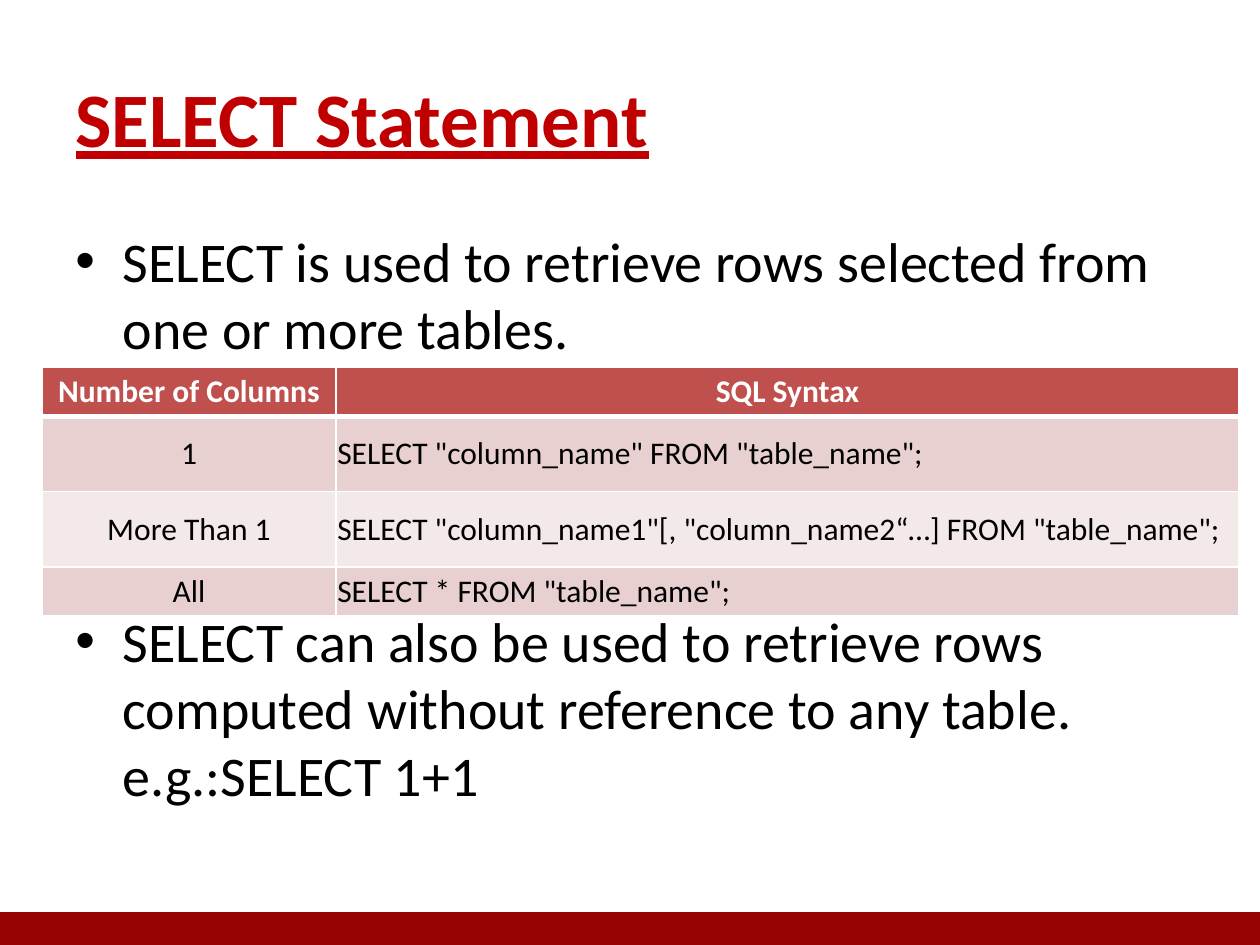
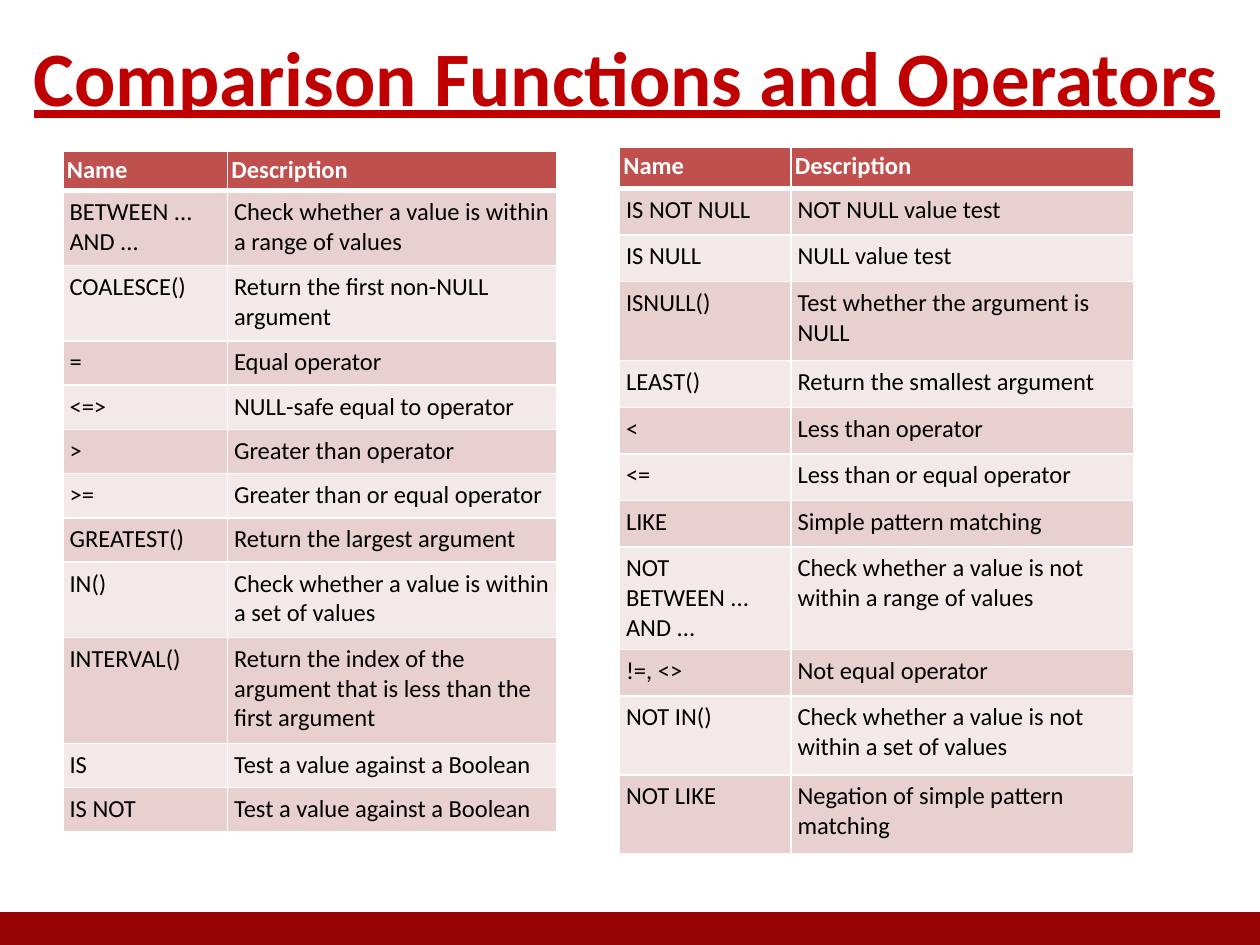
from dataclasses import dataclass

from lxml import etree
from pptx import Presentation
from pptx.dml.color import RGBColor
from pptx.enum import shapes, text
from pptx.oxml import ns
from pptx.util import Pt

FONT = "Calibri"
HUES = {
    "paper": "FFFFFF",
    "ink": "000000",
    "title": "C00000",
    "band": "970303",
    "head": "C0504D",
    "odd": "E8D0D0",
    "even": "F4E9E9",
}
WIDE, HIGH = 720, 540


@dataclass
class Box:
    """A frame on the slide, in points."""
    x: float
    y: float
    w: float
    h: float


@dataclass
class Grid:
    """A table: its place, measures, text style and rows."""
    x: float
    y: float
    cols: list[float]
    tall: list[float]
    rows: list[tuple[str, str]]
    size: float
    pad: float
    head_pad: float
    centred: bool = False


def hue(name: str) -> RGBColor:
    """Look up a colour by its role."""
    return RGBColor.from_string(HUES[name])


def add_run(para, words: str, size: float, tone: str, bold: bool = False):
    """Add one styled run to a paragraph."""
    run = para.add_run()
    run.text = words
    font = run.font
    font.name, font.size, font.bold = FONT, Pt(size), bold
    font.color.rgb = hue(tone)
    return run


def place(shape, box: Box) -> None:
    """Move a shape into its frame."""
    shape.left, shape.top = Pt(box.x), Pt(box.y)
    shape.width, shape.height = Pt(box.w), Pt(box.h)


def add_page(deck, title: str, box: Box):
    """Add a slide with the footer band and a red underlined title."""
    page = deck.slides.add_slide(deck.slide_layouts[5])
    page.background.fill.solid()
    page.background.fill.fore_color.rgb = hue("paper")
    band = page.shapes.add_shape(
        shapes.MSO_SHAPE.RECTANGLE, Pt(0), Pt(HIGH - 18), Pt(WIDE), Pt(18))
    band.shadow.inherit = False
    band.fill.solid()
    band.fill.fore_color.rgb = band.line.color.rgb = hue("band")
    band.line.width = Pt(2)

    head = page.shapes.title
    place(head, box)
    frame = head.text_frame
    frame.auto_size = text.MSO_AUTO_SIZE.NONE
    frame.vertical_anchor = text.MSO_ANCHOR.MIDDLE
    para = frame.paragraphs[0]
    para.alignment = text.PP_ALIGN.LEFT
    add_run(para, title, 44, "title", True).font.underline = True
    return page


def add_list(page, box: Box, items: list[tuple[str, float]]) -> None:
    """Add a bulleted list of (words, space before) items."""
    shape = page.shapes.add_textbox(
        Pt(box.x), Pt(box.y), Pt(box.w), Pt(box.h))
    frame = shape.text_frame
    frame.word_wrap = True
    for i, (words, gap) in enumerate(items):
        para = frame.add_paragraph() if i else frame.paragraphs[0]
        para.space_before = Pt(gap)
        add_run(para, words, 32, "ink")
        props = para._p.get_or_add_pPr()
        props.set("marL", str(Pt(27)))
        props.set("indent", str(Pt(-27)))
        font = etree.SubElement(props, ns.qn("a:buFont"))
        font.set("typeface", "Arial")
        etree.SubElement(props, ns.qn("a:buChar")).set("char", "•")


def edge(cell, row: int) -> None:
    """Draw white cell borders, with a thick rule under the header."""
    thick = {(0, "B"), (1, "T")}
    props = cell._tc.get_or_add_tcPr()
    for side in "LRTB":
        line = etree.SubElement(props, ns.qn(f"a:ln{side}"))
        line.set("w", str(Pt(3 if (row, side) in thick else 1)))
        fill = etree.SubElement(line, ns.qn("a:solidFill"))
        etree.SubElement(fill, ns.qn("a:srgbClr")).set("val", HUES["paper"])


def add_grid(page, grid: Grid) -> None:
    """Draw a banded table with a header row."""
    table = page.shapes.add_table(
        len(grid.rows), len(grid.cols), Pt(grid.x), Pt(grid.y),
        Pt(sum(grid.cols)), Pt(sum(grid.tall))).table
    for col, wide in zip(table.columns, grid.cols):
        col.width = Pt(wide)
    for i, (line, tall) in enumerate(zip(grid.rows, grid.tall)):
        table.rows[i].height = Pt(tall)
        for j, words in enumerate(line):
            cell = table.cell(i, j)
            edge(cell, i)
            cell.fill.solid()
            tone = "odd" if i % 2 else "even"
            cell.fill.fore_color.rgb = hue(tone if i else "head")
            pad = Pt(grid.pad if i else grid.head_pad)
            cell.margin_left = cell.margin_right = pad
            cell.margin_top = cell.margin_bottom = pad
            para = cell.text_frame.paragraphs[0]
            if grid.centred:
                cell.vertical_anchor = text.MSO_ANCHOR.MIDDLE
                if i == 0 or j == 0:
                    para.alignment = text.PP_ALIGN.CENTER
            add_run(para, words, grid.size, "ink" if i else "paper", i == 0)


SYNTAX = [
    ("Number of Columns", "SQL Syntax"),
    ("1", 'SELECT "column_name" FROM "table_name";'),
    ("More Than 1",
     'SELECT "column_name1"[, "column_name2“…] FROM "table_name";'),
    ("All", 'SELECT * FROM "table_name";'),
]
HEAD = ("Name", "Description")
LEFT = [
    HEAD,
    ("BETWEEN ... AND ...",
     "Check whether a value is within a range of values"),
    ("COALESCE()", "Return the first non-NULL argument"),
    ("=", "Equal operator"),
    ("<=>", "NULL-safe equal to operator"),
    (">", "Greater than operator"),
    (">=", "Greater than or equal operator"),
    ("GREATEST()", "Return the largest argument"),
    ("IN()", "Check whether a value is within a set of values"),
    ("INTERVAL()",
     "Return the index of the argument that is less than the first argument"),
    ("IS", "Test a value against a Boolean"),
    ("IS NOT", "Test a value against a Boolean"),
]
RIGHT = [
    HEAD,
    ("IS NOT NULL", "NOT NULL value test"),
    ("IS NULL", "NULL value test"),
    ("ISNULL()", "Test whether the argument is NULL"),
    ("LEAST()", "Return the smallest argument"),
    ("<", "Less than operator"),
    ("<=", "Less than or equal operator"),
    ("LIKE", "Simple pattern matching"),
    ("NOT BETWEEN ... AND ...",
     "Check whether a value is not within a range of values"),
    ("!=,\u00a0<>", "Not equal operator"),
    ("NOT IN()", "Check whether a value is not within a set of values"),
    ("NOT LIKE", "Negation of simple pattern matching"),
]


def main() -> None:
    """Build both slides and save the deck."""
    deck = Presentation()
    deck.slide_width, deck.slide_height = Pt(WIDE), Pt(HIGH)

    page = add_page(deck, "SELECT Statement", Box(36, 21.6, 648, 90))
    add_list(page, Box(36, 126, 648, 356.4), [
        ("SELECT\u00a0is used to retrieve rows selected from one or more "
         "tables.", 0),
        ("SELECT\u00a0can also be used to retrieve rows computed without "
         "reference to any table. e.g.:SELECT 1+1", 140),
    ])
    add_grid(page, Grid(24, 210, [168, 516], [28, 43, 43, 28],
                        SYNTAX, 18, 0.75, 0.75, True))

    page = add_page(deck, "Comparison Functions and Operators",
                    Box(12, -21.6, 708, 129.6))
    one, two, three = 25.3, 43, 60.5
    add_grid(page, Grid(
        36, 86.4, [94, 188],
        [22.5, two, two] + [one] * 5 + [two, three, one, one],
        LEFT, 14, 3.75, 2.25))
    one, two = 26.6, 45.2
    add_grid(page, Grid(
        354, 84, [98, 196],
        [23.8, one, one, two] + [one] * 4 + [two, one, two, two],
        RIGHT, 14, 3.75, 2.25))
    deck.save("out.pptx")


main()
